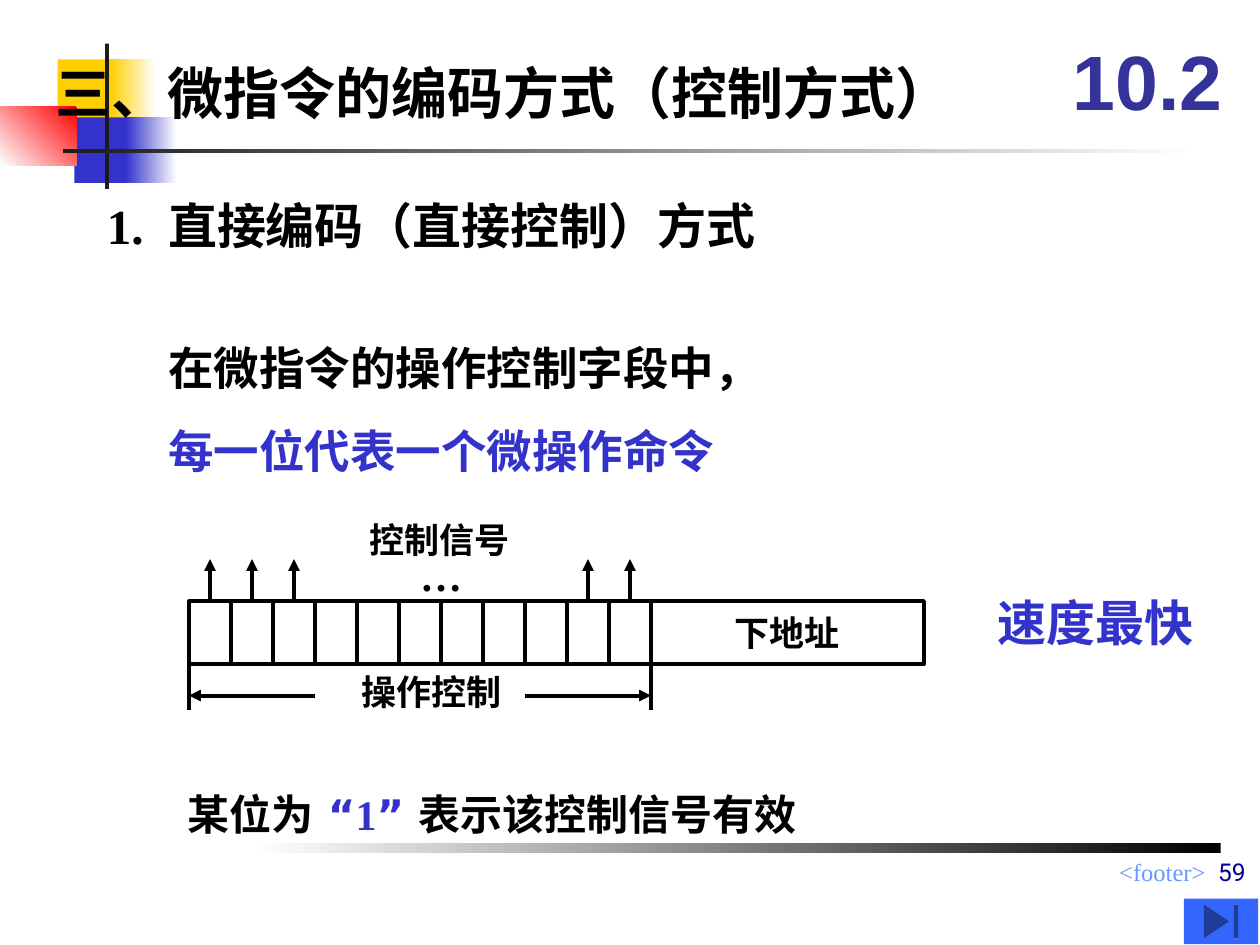
from dataclasses import dataclass

from lxml.etree import SubElement
from pptx import Presentation
from pptx.dml.color import RGBColor
from pptx.enum.lang import MSO_LANGUAGE_ID
from pptx.enum.shapes import MSO_CONNECTOR, MSO_SHAPE
from pptx.enum.text import MSO_ANCHOR, MSO_AUTO_SIZE, PP_ALIGN
from pptx.oxml.ns import qn
from pptx.util import Pt


@dataclass(frozen=True)
class Theme:
    black: str = "000000"
    white: str = "FFFFFF"
    dark: str = "1C1C1C"
    yellow: str = "FFCF01"
    red: str = "FF0000"
    blue: str = "3333CC"
    navy: str = "333399"
    button: str = "3366FF"
    footer: str = "6699FF"
    number: str = "000099"
    sans: str = "DejaVu Sans"
    serif: str = "Times New Roman"
    chapter: int = 44
    title: int = 32
    heading: int = 28
    body: int = 26
    note: int = 24
    label: int = 20
    small: int = 14
    stroke: float = 2.25


T = Theme()


def rgb(color):
    return RGBColor.from_string(color)


def add_run(p, text, size, color=T.black, font=T.serif, bold=True):
    r = p.add_run()
    r.text = text
    r.font.size, r.font.bold, r.font.name = Pt(size), bold, font
    r.font.color.rgb = rgb(color)
    r.font.language_id = MSO_LANGUAGE_ID.SIMPLIFIED_CHINESE
    # East Asian glyphs share the line metrics of this face
    latin = r.font._element.find(qn("a:latin"))
    ea = latin.makeelement(qn("a:ea"), {"typeface": T.sans})
    latin.addnext(ea)


def set_frame(sp, wrap=False, anchor=MSO_ANCHOR.TOP):
    tf = sp.text_frame
    tf.auto_size = MSO_AUTO_SIZE.NONE
    tf.word_wrap, tf.vertical_anchor = wrap, anchor
    return tf


def add_text(s, x, y, w, h, runs, wrap=False, anchor=MSO_ANCHOR.TOP,
             align=PP_ALIGN.LEFT):
    """Add a one-paragraph text box; each run is a tuple for add_run."""
    sp = s.shapes.add_textbox(Pt(x), Pt(y), Pt(w), Pt(h))
    tf = set_frame(sp, wrap, anchor)
    p = tf.paragraphs[0]
    p.alignment = align
    for run in runs:
        add_run(p, *run)
    return tf


def add_block(s, x, y, w, h, start, end=None, angle=180):
    """Add a borderless bar, solid or fading from start to end."""
    sp = s.shapes.add_shape(MSO_SHAPE.RECTANGLE, Pt(x), Pt(y), Pt(w), Pt(h))
    sp.shadow.inherit = False
    sp.line.fill.background()
    if end is None:
        sp.fill.solid()
        sp.fill.fore_color.rgb = rgb(start)
        return
    sp.fill.gradient()
    sp.fill.gradient_angle = angle
    for stop, color in zip(sp.fill.gradient_stops, (start, end)):
        stop.color.rgb = rgb(color)


def add_cell(s, x, y, w, h):
    sp = s.shapes.add_shape(MSO_SHAPE.RECTANGLE, Pt(x), Pt(y), Pt(w), Pt(h))
    sp.shadow.inherit = False
    sp.fill.background()
    sp.line.color.rgb = rgb(T.black)
    sp.line.width = Pt(T.stroke)
    return sp


def add_line(s, x1, y1, x2, y2, arrow=False):
    line = s.shapes.add_connector(MSO_CONNECTOR.STRAIGHT,
                                  Pt(x1), Pt(y1), Pt(x2), Pt(y2))
    line.line.color.rgb = rgb(T.black)
    line.line.width = Pt(T.stroke)
    if arrow:
        SubElement(line.line._get_or_add_ln(), qn("a:tailEnd"), type="triangle")
    SubElement(line._element.spPr, qn("a:effectLst"))


def add_decoration(s):
    add_block(s, 33, 34, 35, 37.5, T.yellow)
    add_block(s, 63, 34, 26, 37.5, T.white, T.yellow)
    add_block(s, 42.5, 67, 33, 37.5, T.blue)
    add_block(s, 72, 67, 29, 37.5, T.white, T.blue)
    add_block(s, 0, 61, 44, 33.5, T.red, T.white, angle=225)
    add_block(s, 60, 25, 2.25, 83, T.dark)
    add_block(s, 36, 85, 648, 2.25, T.white, T.dark)
    add_block(s, 145.5, 482, 552, 5.5, T.black, T.white)


def add_title(s):
    title = s.shapes.title
    # Wide enough to hold the heading on one line
    title.left, title.top, title.width, title.height = map(Pt, (24.5, 30, 575, 46))
    tf = set_frame(title, wrap=True)
    p = tf.paragraphs[0]
    p.alignment = PP_ALIGN.LEFT
    add_run(p, "三、微指令的编码方式（控制方式）", T.title, font=T.sans)
    # Bring the title in front of the coloured blocks
    title.element.getparent().append(title.element)


def add_body(s):
    tf = add_text(s, 54, 108, 556, 41,
                  [("1.\t", T.heading),
                   ("直接编码（直接控制）方式", T.heading, T.black, T.sans)], wrap=True)
    pPr = tf.paragraphs[0]._p.get_or_add_pPr()
    pPr.set("marL", str(Pt(35)))
    pPr.set("indent", str(Pt(-35)))

    tf = add_text(s, 89, 191, 543, 86,
                  [("在微指令的操作控制字段中，", T.body, T.black, T.sans)], wrap=True)
    p = tf.add_paragraph()
    p.space_before = Pt(16.2)
    add_run(p, "每一位代表一个微操作命令", T.body, T.blue, T.sans)

    add_text(s, 563, 335, 126, 41, [("速度最快", T.heading, T.blue, T.sans)])
    add_text(s, 100, 447, 384.5, 36,
             [("某位为 ", T.note), ("“1”", T.note, T.blue),
              (" 表示该控制信号有效", T.note)])


def add_instruction(s):
    left, top, bit, height, bits = 108, 343.5, 24, 36, 11
    right, bottom = left + bits * bit, top + height

    # Control bits and next-address field
    for i in range(bits):
        add_cell(s, left + i * bit, top, bit, height)
    field = add_cell(s, right, top, 156, height)
    p = set_frame(field, anchor=MSO_ANCHOR.MIDDLE).paragraphs[0]
    p.alignment = PP_ALIGN.CENTER
    add_run(p, "下地址", T.label)

    # Control signals
    for i in (0, 1, 2, 9, 10):
        x = left + (i + 0.5) * bit
        add_line(s, x, top, x, top - 24, arrow=True)
    add_text(s, 233, 310.5, 38, 36, [("…", T.note)])
    add_text(s, 204, 293, 94.5, 32, [("控制信号", T.label)])

    # Extent of the operation control field
    for edge, inward in ((left, 3 * bit), (right, -3 * bit)):
        add_line(s, edge, bottom, edge, bottom + 26.5)
        add_line(s, edge + inward, bottom + 18, edge, bottom + 18, arrow=True)
    add_text(s, 199.5, 379.5, 94.5, 32, [("操作控制", T.label)])


def add_footer(s):
    add_text(s, 282, 486, 414, 19,
             [("<footer>", T.small, T.footer, T.serif, False)],
             wrap=True, align=PP_ALIGN.RIGHT)
    add_text(s, 375, 474, 344, 36,
             [("59", T.small, T.number, "Roboto", False)],
             wrap=True, anchor=MSO_ANCHOR.BOTTOM, align=PP_ALIGN.RIGHT)
    button = s.shapes.add_shape(MSO_SHAPE.ACTION_BUTTON_END,
                                Pt(676.5), Pt(513.5), Pt(42.5), Pt(26))
    button.shadow.inherit = False
    button.fill.solid()
    button.fill.fore_color.rgb = rgb(T.button)
    button.line.fill.background()


def main():
    prs = Presentation()
    prs.slide_width, prs.slide_height = Pt(720), Pt(540)
    s = prs.slides.add_slide(prs.slide_layouts[5])
    add_decoration(s)
    add_title(s)
    add_text(s, 606, 12.5, 114, 66, [("10.2", T.chapter, T.navy, "Arial")],
             wrap=True, anchor=MSO_ANCHOR.MIDDLE)
    add_body(s)
    add_instruction(s)
    add_footer(s)
    prs.save("out.pptx")


if __name__ == "__main__":
    main()
